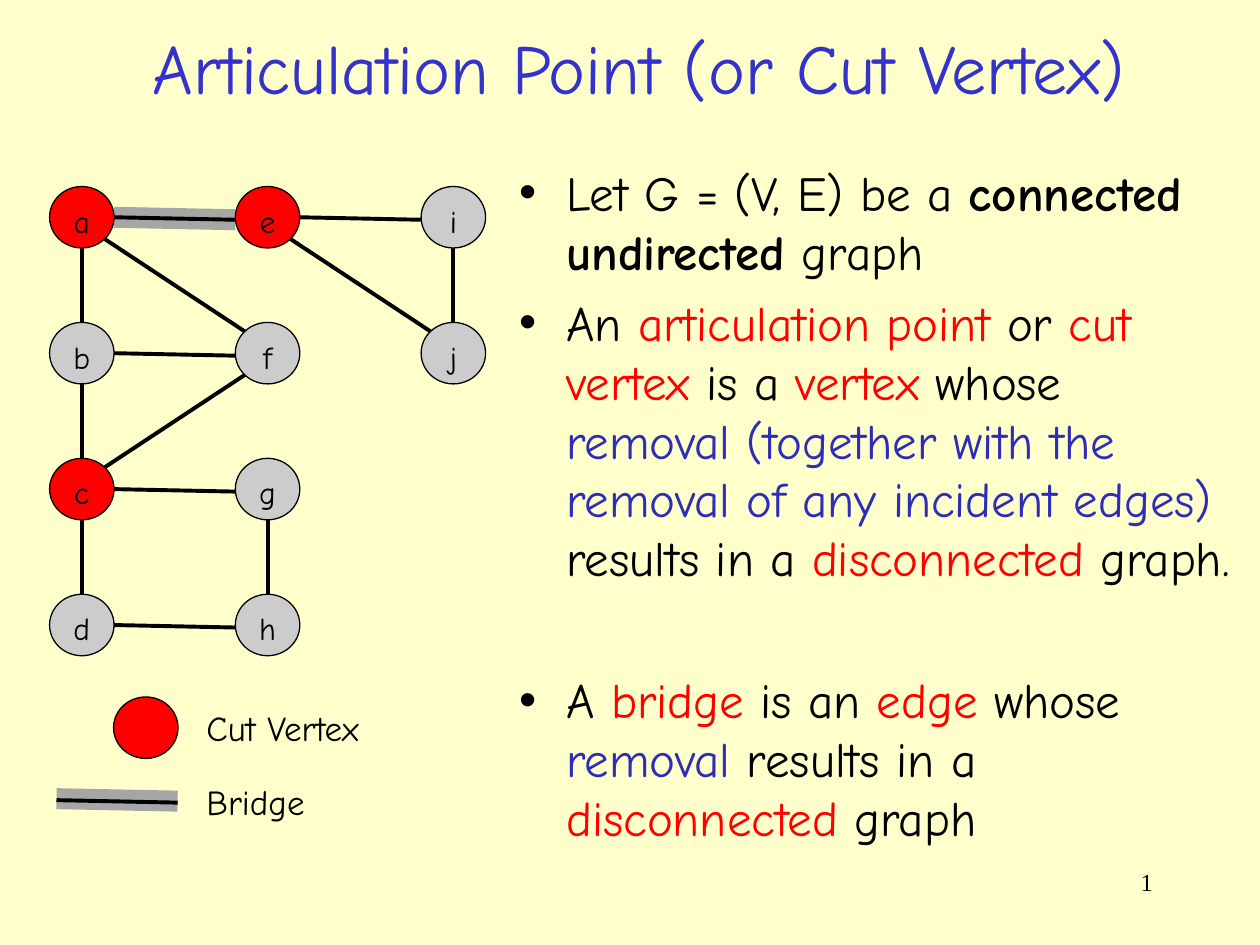
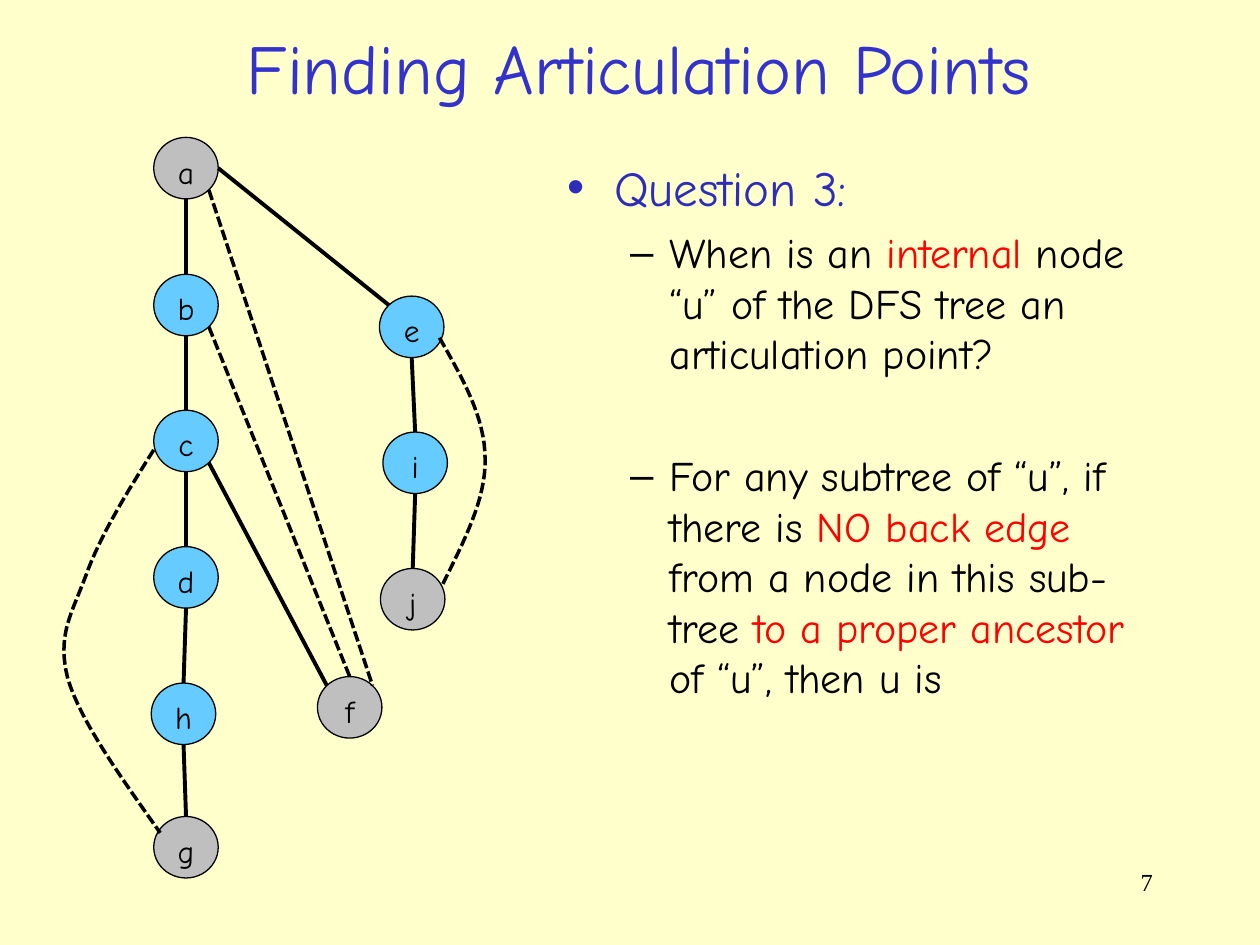
import pptx
import pptx.util
import pptx.dml.color
import pptx.enum.dml
import pptx.enum.shapes
import pptx.enum.text
import pptx.oxml
import pptx.oxml.ns

Cm, Pt = pptx.util.Cm, pptx.util.Pt
ALIGN = pptx.enum.text.PP_ALIGN
SHAPE = pptx.enum.shapes.MSO_SHAPE

COLORS = {
    "paper": "FFFFCC", "title": "3333CC", "blue": "2D2DB9", "red": "FF0000",
    "black": "000000", "bridge": "A6A6A6", "plain": "CCCCCC",
    "leaf": "BFBFBF", "internal": "66CCFF",
}
FONT = "Comic Neue"
NODE_W, NODE_H = 1.3, 1.24

TITLE_BOX = (0.76, 0.38, 24.23, 1.93)
PAGE_BOX = (18.21, 17.35, 5.28, 1.27)

# Marker, left margin (cm), hanging indent (cm), size (pt) for each list level
LEVELS = [("•", 0.95, 0.95, 28), ("–", 2.06, 0.79, 24)]


def rgb(name):
    return pptx.dml.color.RGBColor.from_string(COLORS[name])


def add_text(p, text, size=18, color="black", font=FONT, bold=False, align=None):
    r = p.add_run()
    r.text = text
    r.font.size, r.font.name, r.font.bold = Pt(size), font, bold
    r.font.color.rgb = rgb(color)
    if align is not None:
        p.alignment = align
    return r


def place(sp, box):
    sp.left, sp.top, sp.width, sp.height = (Cm(v) for v in box)


def add_label(s, box, text, **fmt):
    tf = s.shapes.add_textbox(*(Cm(v) for v in box)).text_frame
    tf.word_wrap = True
    add_text(tf.paragraphs[0], text, **fmt)


def add_line(s, start, end, color="black", width=2.25, dashed=False):
    line = s.shapes.add_connector(
        pptx.enum.shapes.MSO_CONNECTOR.STRAIGHT, *(Cm(v) for v in (*start, *end)))
    style_line(line.line, color, width, dashed)
    pr = line._element.spPr
    pr.append(pr.makeelement(pptx.oxml.ns.qn("a:effectLst"), {}))


def style_line(line, color, width, dashed):
    line.color.rgb = rgb(color)
    line.width = Pt(width)
    if dashed:
        line.dash_style = pptx.enum.dml.MSO_LINE.SQUARE_DOT


def add_node(s, x, y, fill, name=""):
    sp = s.shapes.add_shape(SHAPE.OVAL, Cm(x), Cm(y), Cm(NODE_W), Cm(NODE_H))
    sp.shadow.inherit = False
    sp.fill.solid()
    sp.fill.fore_color.rgb = rgb(fill)
    style_line(sp.line, "black", 0.75, False)
    if name:
        sp.text_frame.vertical_anchor = pptx.enum.text.MSO_ANCHOR.TOP
        add_text(sp.text_frame.paragraphs[0], name, align=ALIGN.CENTER)


def site(corner, side):
    """Point on a node's outline in a compass direction such as "S" or "SE"."""
    dx = ("E" in side) - ("W" in side)
    dy = ("S" in side) - ("N" in side)
    reach = 0.5 if len(side) == 1 else 0.354
    return (corner[0] + NODE_W * (0.5 + reach * dx),
            corner[1] + NODE_H * (0.5 + reach * dy))


def add_edges(s, nodes, edges, **fmt):
    """Edges are "from side to side"; level ones slope slightly down."""
    for edge in edges:
        tail, out, head, into = edge.split()
        x, y = site(nodes[head], into)
        drop = 0.05 if out == "E" and into == "W" else 0
        add_line(s, site(nodes[tail], out), (x, y + drop), **fmt)


def add_curve(s, origin, points, steps=16):
    """Dashed chain of cubic Bezier segments; points are relative to origin."""
    pts = [(Cm(origin[0] + x), Cm(origin[1] + y)) for x, y in points]
    outline = [pts[0]]
    for i in range(0, len(pts) - 1, 3):
        for k in range(1, steps + 1):
            t = k / steps
            weights = ((1 - t) ** 3, 3 * t * (1 - t) ** 2, 3 * t * t * (1 - t), t ** 3)
            outline.append(tuple(
                round(sum(w * q[axis] for w, q in zip(weights, pts[i:i + 4])))
                for axis in (0, 1)))
    builder = s.shapes.build_freeform(*outline[0])
    builder.add_line_segments(outline[1:], close=False)
    sp = builder.convert_to_shape()
    sp.shadow.inherit = False
    sp.fill.background()
    style_line(sp.line, "black", 2, True)


def add_item(p, level, runs, before=0, bullet_color="black"):
    """Runs alternate as (text, color) or (text, color, bold)."""
    marker, margin, hang, size = LEVELS[level]
    p.level = level
    pr = p._p.get_or_add_pPr()
    pr.set("marL", str(Cm(margin)))
    pr.set("indent", str(-Cm(hang)))
    ns = pptx.oxml.ns.nsdecls("a")
    for xml in (f'<a:buClr {ns}><a:srgbClr val="{COLORS[bullet_color]}"/></a:buClr>',
                f'<a:buChar {ns} char="{marker}"/>'):
        pr.append(pptx.oxml.parse_xml(xml))
    p.space_before = Pt(before)
    for text, color, *bold in runs:
        add_text(p, text, size=size, color=color, bold=bool(bold))


def fill_body(s, box, items):
    body = s.placeholders[1]
    place(body, box)
    tf = body.text_frame
    tf.auto_size = pptx.enum.text.MSO_AUTO_SIZE.NONE
    for i, item in enumerate(items):
        add_item(tf.add_paragraph() if i else tf.paragraphs[0], **item)


def new_slide(prs, title, page):
    s = prs.slides.add_slide(prs.slide_layouts[1])
    place(s.shapes.title, TITLE_BOX)
    tf = s.shapes.title.text_frame
    tf.auto_size = pptx.enum.text.MSO_AUTO_SIZE.NONE
    add_text(tf.paragraphs[0], title, size=40, color="title", align=ALIGN.CENTER)
    add_label(s, PAGE_BOX, page, size=14, font="Times New Roman", align=ALIGN.RIGHT)
    return s


def draw_graph(s, box):
    left, top = box
    columns = ["abcd", "efgh", "ij"]
    nodes = {name: (left + 3.745 * col, top + 2.74 * row)
             for col, names in enumerate(columns)
             for row, name in enumerate(names)}
    add_edges(s, nodes, ["a E e W"], color="bridge", width=12)
    for name, corner in nodes.items():
        add_node(s, *corner, "red" if name in "ace" else "plain", name)
    add_edges(s, nodes, [
        "a E e W", "e E i W", "b E f W", "c E g W", "d E h W",
        "a S b N", "b S c N", "c S d N", "g S h N", "i S j N",
        "a SE f NW", "e SE j NW", "f SW c NE"])


def draw_legend(s, box):
    left, top = box
    add_node(s, left + 1.15, top, "red")
    for y, color, width in ((2.05, "bridge", 12), (2.08, "black", 2.25)):
        add_line(s, (left, top + y), (left + 2.44, top + y + 0.05), color, width)
    for y, text in ((0.07, "Cut Vertex"), (1.55, "Bridge")):
        add_label(s, (left + 2.77, top + y, 4.37, 1.12), text, size=20)


def draw_dfs_tree(s, box):
    left, top = box
    offsets = {
        "a": (1.8, 0), "b": (1.8, 2.76), "c": (1.8, 5.5), "d": (1.8, 8.25),
        "h": (1.75, 11), "g": (1.8, 13.69), "f": (5.1, 10.87),
        "e": (6.35, 3.2), "i": (6.42, 5.94), "j": (6.37, 8.69),
    }
    nodes = {name: (left + x, top + y) for name, (x, y) in offsets.items()}
    for name, corner in nodes.items():
        add_node(s, *corner, "internal" if name in "bcdhei" else "leaf", name)
    add_edges(s, nodes, [
        "a S b N", "b S c N", "c S d N", "d S h N", "h S g N",
        "c SE f NW", "a E e NW", "e S i N", "i S j N"])
    add_edges(s, nodes, ["b SE f N", "a SE f NE"], width=2, dashed=True)
    add_curve(s, box, [
        (1.8, 6.3), (1.24, 7.19), (0.71, 8.05), (0.43, 8.84), (0.15, 9.6),
        (-0.16, 10.03), (0.07, 10.92), (0.33, 11.78), (1.14, 12.9), (1.93, 14.02)])
    add_curve(s, box, [
        (7.56, 4.04), (8.02, 4.85), (8.48, 5.64), (8.48, 6.48),
        (8.5, 7.29), (8.05, 8.15), (7.62, 9.02)])


def build_cut_vertex_slide(prs):
    s = new_slide(prs, "Articulation Point (or Cut Vertex)", "1")
    draw_graph(s, (1, 3.76))
    draw_legend(s, (1.14, 14.05))
    fill_body(s, (10.21, 3.15, 14.91, 15.04), [
        dict(level=0, runs=[
            ("Let G = (V, E) be a ", "black"),
            ("connected undirected", "black", True), (" graph", "black")]),
        dict(level=0, before=7, runs=[
            ("An", "black"), (" articulation point ", "red"), ("or", "black"),
            (" cut vertex", "red"), (" is a ", "black"), ("vertex", "red"),
            (" whose ", "black"),
            ("removal (together with the removal of any incident edges) ", "blue"),
            ("results in a ", "black"), ("disconnected", "red"),
            (" graph.", "black")]),
        dict(level=0, before=47.5, runs=[
            ("A ", "black"), ("bridge", "red"), (" is an ", "black"),
            ("edge", "red"), (" whose ", "black"), ("removal", "blue"),
            (" results in a ", "black"), ("disconnected", "red"),
            (" graph", "black")]),
    ])


def build_dfs_slide(prs):
    s = new_slide(prs, "Finding Articulation Points", "7")
    draw_dfs_tree(s, (1.3, 2.77))
    fill_body(s, (11.18, 3.05, 12.65, 14.4), [
        dict(level=0, runs=[("Question 3:", "blue")], bullet_color="blue"),
        dict(level=1, before=6, runs=[
            ("When is an ", "black"), ("internal ", "red"),
            ("node “u” of the DFS tree an articulation point?", "black")]),
        dict(level=1, before=41, runs=[
            ("For any subtree of “u”, if there is ", "black"),
            ("NO back edge", "red"), (" from a node in this sub-tree ", "black"),
            ("to a proper ancestor ", "red"), ("of “u”, then u is", "black")]),
    ])


def main():
    prs = pptx.Presentation()
    prs.slide_width, prs.slide_height = Cm(25.4), Cm(19.05)
    background = prs.slide_master.background.fill
    background.solid()
    background.fore_color.rgb = rgb("paper")
    build_cut_vertex_slide(prs)
    build_dfs_slide(prs)
    prs.save("out.pptx")


if __name__ == "__main__":
    main()
